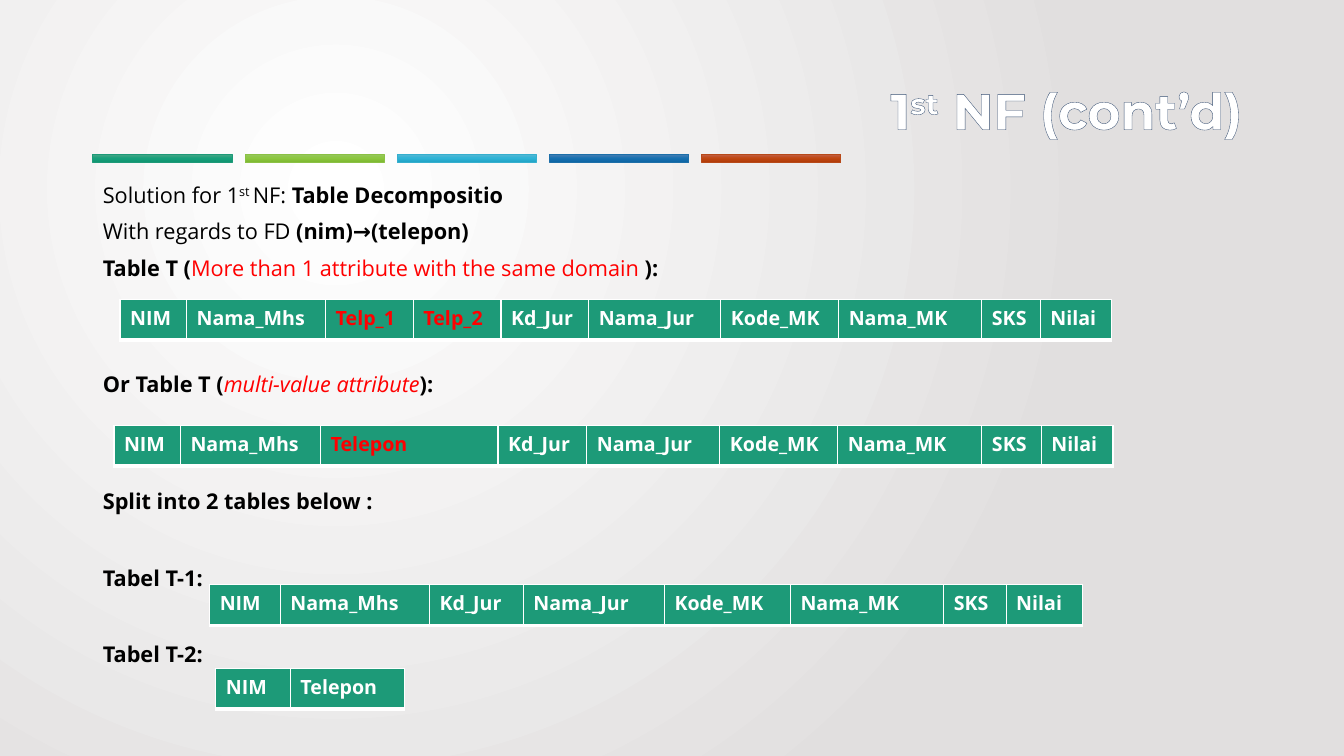
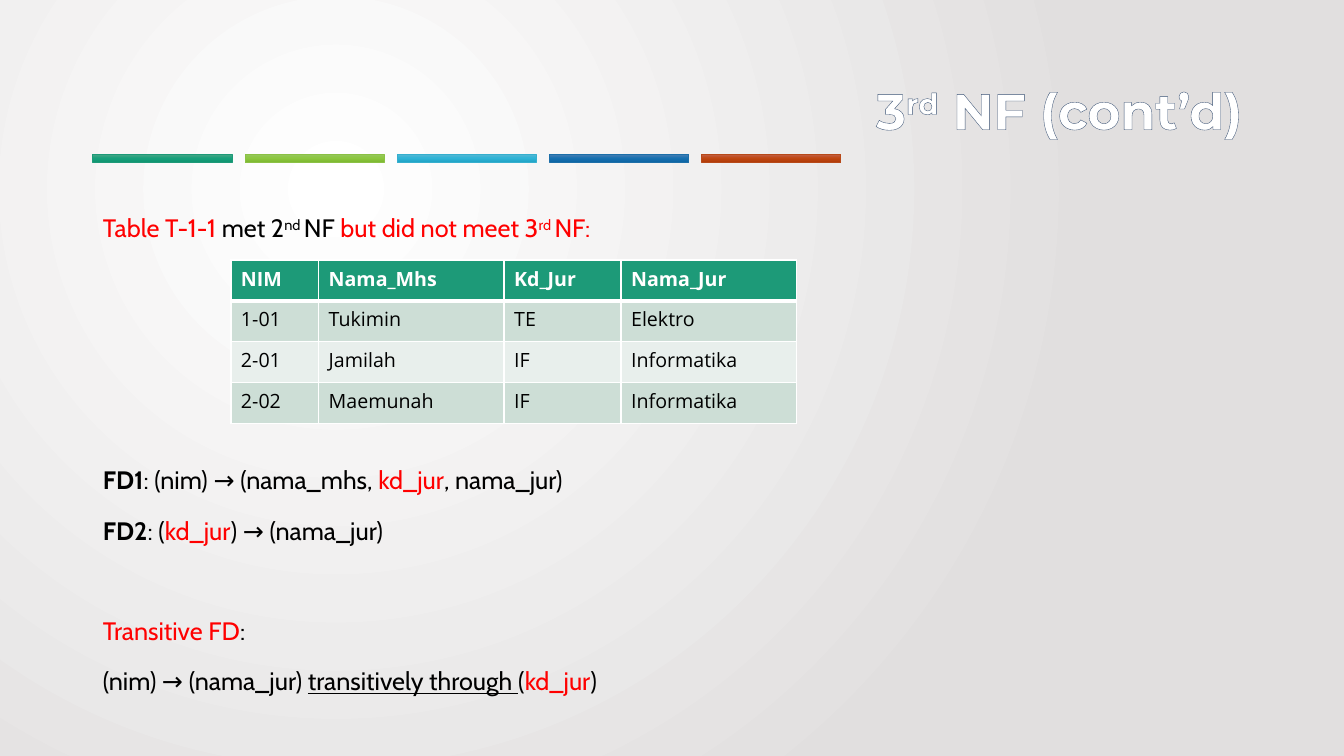
from dataclasses import dataclass

from pptx import Presentation
from pptx.dml.color import RGBColor
from pptx.enum.shapes import MSO_SHAPE
from pptx.enum.text import MSO_ANCHOR, MSO_AUTO_SIZE, PP_ALIGN
from pptx.oxml import parse_xml
from pptx.oxml.ns import nsdecls
from pptx.util import Inches, Pt


@dataclass(frozen=True)
class Theme:
    white: str = "FFFFFF"
    black: str = "000000"
    red: str = "FF0000"
    header: str = "1D9A78"
    bands: tuple = ("CDDED6", "E8EFEC")
    outline: str = "3A5274"
    background: tuple = ("FFFFFF", "E1DFDF")
    title_font: str = "Montserrat"
    table_font: str = "Open Sans"
    title_size: float = 36
    table_size: float = 14


THEME = Theme()

# Line colour, then gradient stops from top to bottom
BARS = [
    ("1D9A78", ("4EA788", "17A07B", "0F9470")),
    ("8BC145", ("98C862", "8CC73F", "7DB831")),
    ("36AFCE", ("59B8D4", "2EB3D6", "21A4C6")),
    ("1D6FA9", ("4E80B5", "1670B0", "0D65A3")),
    ("B74919", ("C2634D", "BF4611", "B13B08")),
]
BAR_LEFT, BAR_TOP, BAR_WIDTH, BAR_HEIGHT, BAR_PITCH = 0.92, 1.53, 1.38, 0.08, 1.51

# Run styles: b bold, i italic, u underlined, r red, ^ superscript.
# Each body line is (lines left free above it, runs).
SLIDES = [
    {
        "title": [("1", ""), ("st", "^"), (" NF (cont’d)", "")],
        "body": {
            "box": (0.92, 1.75, 10.25, 5.28),
            "font": "Open Sans", "size": 15.5, "spacing": 1.0,
            "gap": 7.5, "pitch": 28.6,
            "lines": [
                (0, [("Solution for 1", ""), ("st ", "^"), ("NF: ", ""),
                     ("Table Decompositio", "b")]),
                (0, [("With regards to FD ", ""), ("(nim)→(telepon)", "b")]),
                (0, [("Table T (", "b"),
                     ("More than 1 attribute with the same domain ", "r"),
                     ("):", "b")]),
                (2, [("Or Table T (", "b"), ("multi-value attribute", "ri"),
                     ("):", "b")]),
                (2, [("Split into 2 tables below :", "b")]),
                (1, [("Tabel T-1:", "b")]),
                (1, [("Tabel T-2:", "b")]),
            ],
        },
        "tables": [
            {
                "at": (1.19, 2.97), "red": ("Telp_1", "Telp_2"),
                "widths": (0.66, 1.38, 0.87, 0.87, 0.87, 1.31, 1.17, 1.42, 0.58, 0.71),
                "rows": [("NIM", "Nama_Mhs", "Telp_1", "Telp_2", "Kd_Jur", "Nama_Jur",
                          "Kode_MK", "Nama_MK", "SKS", "Nilai")],
            },
            {
                "at": (1.13, 4.22), "red": ("Telepon",),
                "widths": (0.66, 1.39, 1.76, 0.88, 1.32, 1.17, 1.43, 0.59, 0.71),
                "rows": [("NIM", "Nama_Mhs", "Telepon", "Kd_Jur", "Nama_Jur",
                          "Kode_MK", "Nama_MK", "SKS", "Nilai")],
            },
            {
                "at": (2.08, 5.8), "red": (),
                "widths": (0.7, 1.48, 0.93, 1.4, 1.25, 1.52, 0.62, 0.76),
                "rows": [("NIM", "Nama_Mhs", "Kd_Jur", "Nama_Jur", "Kode_MK",
                          "Nama_MK", "SKS", "Nilai")],
            },
            {
                "at": (2.14, 6.63), "red": (),
                "widths": (0.74, 1.13),
                "rows": [("NIM", "Telepon")],
            },
        ],
    },
    {
        "title": [("3", ""), ("rd", "^"), (" NF (cont’d)", "")],
        "body": {
            "box": (0.92, 2, 11.5, 5.13),
            "font": "Cabin", "size": 18, "spacing": 1.2,
            "gap": 10, "pitch": 36,
            "lines": [
                (0, [("Table T-1-1 ", "r"), ("met 2", ""), ("nd ", "^"), ("NF ", ""),
                     ("but did not meet 3", "r"), ("rd ", "r^"), ("NF:", "r")]),
                (4, [("FD1", "b"), (": (nim) → (nama_mhs, ", ""), ("kd_jur", "r"),
                     (", nama_jur)", "")]),
                (0, [("FD2", "b"), (": (", ""), ("kd_jur", "r"),
                     (") → (nama_jur)", "")]),
                (1, [("Transitive FD", "r"), (":", "")]),
                (0, [("(nim) → (nama_jur) ", ""), ("transitively through ", "u"),
                     ("(", ""), ("kd_jur", "r"), (")", "")]),
            ],
        },
        "tables": [
            {
                "at": (2.29, 2.58), "red": (),
                "widths": (0.87, 1.84, 1.16, 1.74),
                "rows": [
                    ("NIM", "Nama_Mhs", "Kd_Jur", "Nama_Jur"),
                    ("1-01", "Tukimin", "TE", "Elektro"),
                    ("2-01", "Jamilah", "IF", "Informatika"),
                    ("2-02", "Maemunah", "IF", "Informatika"),
                ],
            },
        ],
    },
]
ROW_HEIGHT = 0.405


def rgb(value):
    return RGBColor.from_string(value)


def place(shape, left, top, width, height):
    shape.left, shape.top = Inches(left), Inches(top)
    shape.width, shape.height = Inches(width), Inches(height)


def gradient_xml(colors, direction):
    """Evenly spaced stops, followed by the given direction element."""
    last = len(colors) - 1
    stops = "".join(
        f'<a:gs pos="{100000 * index // last}"><a:srgbClr val="{color}"/></a:gs>'
        for index, color in enumerate(colors))
    return (f'<a:gradFill {nsdecls("a")} rotWithShape="1"><a:gsLst>{stops}</a:gsLst>'
            f'{direction}</a:gradFill>')


def line_xml(tag, color, points):
    return parse_xml(
        f'<a:{tag} {nsdecls("a")} w="{int(points * 12700)}"><a:solidFill>'
        f'<a:srgbClr val="{color}"/></a:solidFill></a:{tag}>')


def style_layout(layout, slide):
    """Give the layout its background, title place and colour bars.

    The bars are drawn on the slide and moved to the layout."""
    glow = gradient_xml(
        THEME.background,
        '<a:path path="circle"><a:fillToRect l="50000" t="50000" r="100000" b="100000"/></a:path>')
    layout.element.cSld.insert(0, parse_xml(
        f'<p:bg {nsdecls("p", "a")}><p:bgPr>{glow}<a:effectLst/></p:bgPr></p:bg>'))
    place(layout.placeholders[0], 0.92, 0.4, 11.5, 1.45)
    for index, (line_color, colors) in enumerate(BARS):
        bar = slide.shapes.add_shape(MSO_SHAPE.RECTANGLE, 0, 0, 0, 0)
        place(bar, BAR_LEFT + index * BAR_PITCH, BAR_TOP, BAR_WIDTH, BAR_HEIGHT)
        bar.shadow.inherit = False
        bar.line.color.rgb = rgb(line_color)
        bar.line.width = Pt(0.5)
        bar.fill.background()
        properties = bar.element.spPr
        no_fill = properties.find("{*}noFill")
        properties.replace(no_fill, parse_xml(
            gradient_xml(colors, '<a:lin ang="5400000" scaled="0"/>')))
        bar.element.nvSpPr.cNvPr.id = 101 + index
        layout.shapes.element.append(bar.element)


def set_font(font, name, size, color, bold=False):
    font.name, font.size, font.bold = name, Pt(size), bold
    font.color.rgb = rgb(color)


def add_runs(paragraph, runs):
    for text, style in runs:
        run = paragraph.add_run()
        run.text = text
        if "b" in style:
            run.font.bold = True
        if "i" in style:
            run.font.italic = True
        if "u" in style:
            run.font.underline = True
        if "r" in style:
            run.font.color.rgb = rgb(THEME.red)
        if "^" in style:
            run._r.get_or_add_rPr().set("baseline", "30000")


def fill_title(title, runs):
    frame = title.text_frame
    frame.vertical_anchor = MSO_ANCHOR.MIDDLE
    frame.auto_size = MSO_AUTO_SIZE.NONE
    paragraph = frame.paragraphs[0]
    paragraph.alignment = PP_ALIGN.RIGHT
    paragraph.line_spacing = 0.9
    set_font(paragraph.font, THEME.title_font, THEME.title_size, THEME.white, True)
    add_runs(paragraph, runs)
    for run in paragraph.runs:
        run._r.get_or_add_rPr().insert(0, line_xml("ln", THEME.outline, 1))


def fill_body(placeholder, body):
    place(placeholder, *body["box"])
    frame = placeholder.text_frame
    frame.vertical_anchor = MSO_ANCHOR.TOP
    frame.auto_size = MSO_AUTO_SIZE.NONE
    for index, (free_lines, runs) in enumerate(body["lines"]):
        paragraph = frame.add_paragraph() if index else frame.paragraphs[0]
        properties = paragraph._p.get_or_add_pPr()
        properties.set("marL", "0")
        properties.set("indent", "0")
        properties.append(parse_xml(f'<a:buNone {nsdecls("a")}/>'))
        paragraph.line_spacing = body["spacing"]
        paragraph.space_before = Pt(body["gap"] + free_lines * body["pitch"] if index else 0)
        set_font(paragraph.font, body["font"], body["size"], THEME.black)
        add_runs(paragraph, runs)


def fill_cell(cell, text, row_index, is_red):
    is_header = row_index == 0
    color = THEME.red if is_red else THEME.white if is_header else THEME.black
    paragraph = cell.text_frame.paragraphs[0]
    set_font(paragraph.font, THEME.table_font, THEME.table_size, color, is_header)
    add_runs(paragraph, [(text, "")])
    borders = {"lnL": 1, "lnR": 1}
    if is_header:
        borders["lnT"] = 1
    borders["lnB"] = 3 if is_header else 1
    properties = cell._tc.get_or_add_tcPr()
    for tag, points in borders.items():
        properties.append(line_xml(tag, THEME.white, points))
    cell.fill.solid()
    cell.fill.fore_color.rgb = rgb(
        THEME.header if is_header else THEME.bands[(row_index - 1) % 2])


def add_data_table(slide, data):
    rows, widths = data["rows"], data["widths"]
    left, top = data["at"]
    table = slide.shapes.add_table(
        len(rows), len(widths), Inches(left), Inches(top),
        Inches(sum(widths)), Inches(ROW_HEIGHT * len(rows))).table
    for column, width in zip(table.columns, widths):
        column.width = Inches(width)
    for row_index, row in enumerate(rows):
        for column_index, text in enumerate(row):
            fill_cell(table.cell(row_index, column_index), text, row_index,
                      text in data["red"])


def main():
    presentation = Presentation()
    presentation.slide_width, presentation.slide_height = Inches(13.33), Inches(7.5)
    layout = presentation.slide_layouts[1]
    for index, content in enumerate(SLIDES):
        slide = presentation.slides.add_slide(layout)
        if index == 0:
            style_layout(layout, slide)
        fill_title(slide.shapes.title, content["title"])
        fill_body(slide.placeholders[1], content["body"])
        for data in content["tables"]:
            add_data_table(slide, data)
    presentation.save("out.pptx")


if __name__ == "__main__":
    main()
